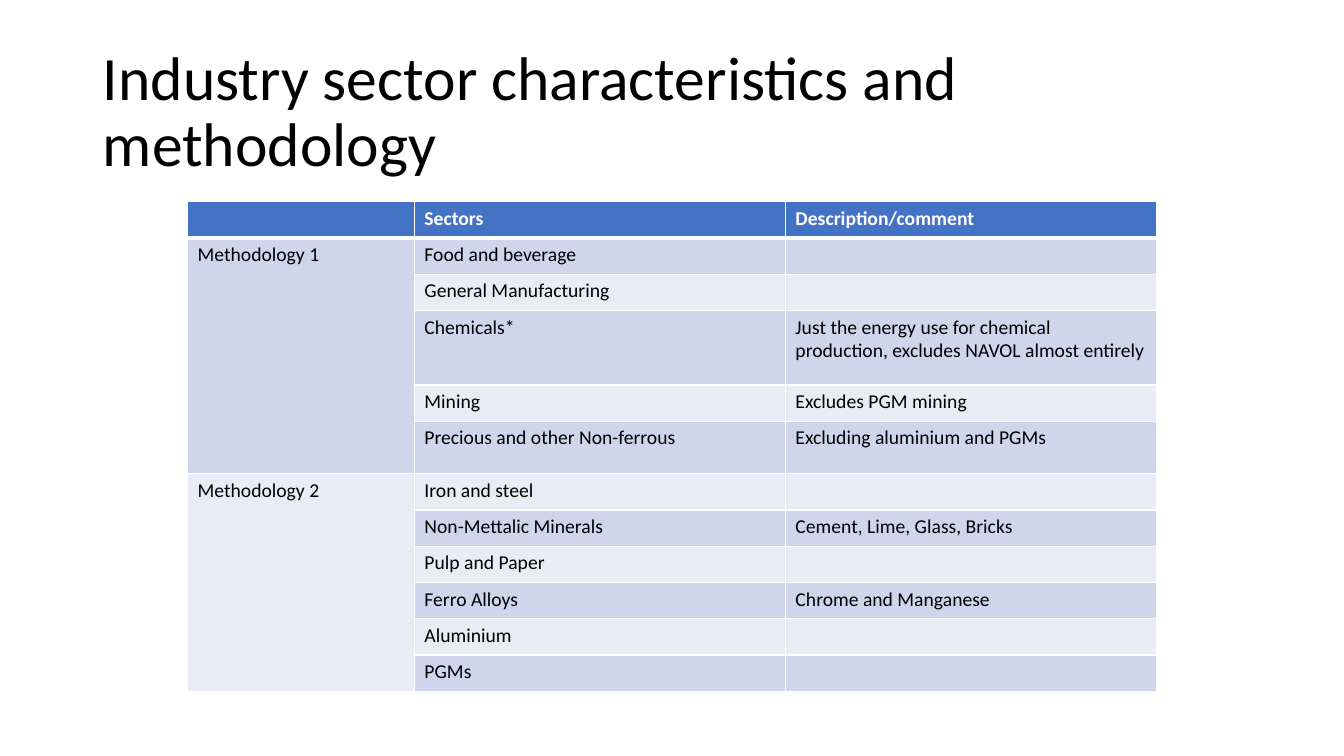
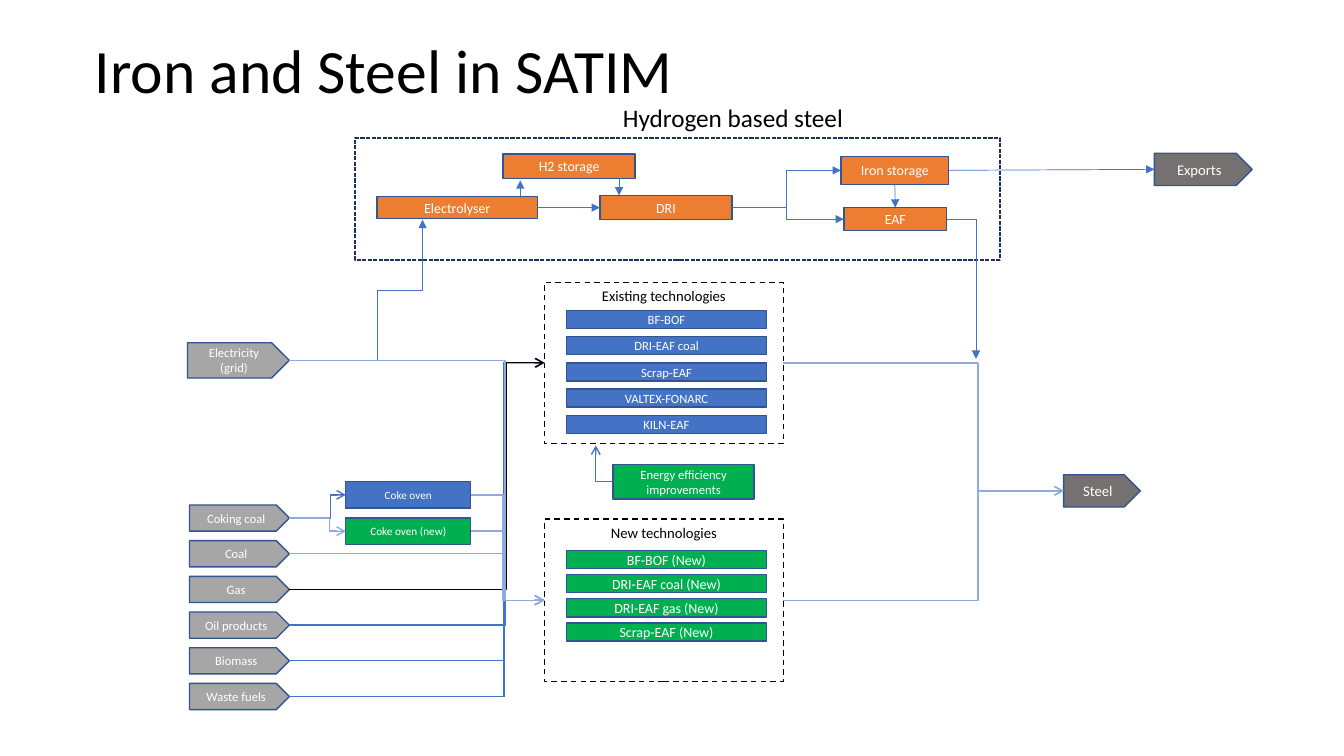
from pptx import Presentation
from pptx.dml.color import RGBColor
from pptx.enum.dml import MSO_LINE as Dash
from pptx.enum.shapes import MSO_CONNECTOR as Link, MSO_SHAPE as Preset
from pptx.enum.text import MSO_ANCHOR as Anchor, MSO_AUTO_SIZE as AutoSize, PP_ALIGN as Align
from pptx.oxml.ns import qn
from pptx.util import Inches, Pt
from lxml.etree import SubElement

BLACK = RGBColor(0x00, 0x00, 0x00)
WHITE = RGBColor(0xFF, 0xFF, 0xFF)
BLUE = RGBColor(0x44, 0x72, 0xC4)
SKY = RGBColor(0x8F, 0xAA, 0xDC)
EDGE = RGBColor(0x32, 0x54, 0x91)
NAVY = RGBColor(0x1E, 0x32, 0x56)
GREEN = RGBColor(0x00, 0xB0, 0x50)
ORANGE = RGBColor(0xED, 0x7D, 0x31)
SILVER = RGBColor(0xA6, 0xA6, 0xA6)
GREY = RGBColor(0x76, 0x71, 0x71)
BAND_DARK = RGBColor(0xCF, 0xD5, 0xEA)
BAND_LIGHT = RGBColor(0xE9, 0xEB, 0xF5)

FONT = "Calibri"
TOP, LEFT, BOTTOM, RIGHT = range(4)

SECTORS = {
    "Methodology 1": [
        ("Food and beverage", "", 0.36),
        ("General Manufacturing", "", 0.36),
        ("Chemicals*", "Just the energy use for chemical production, "
                       "excludes NAVOL almost entirely", 0.74),
        ("Mining", "Excludes PGM mining", 0.36),
        ("Precious and other Non-ferrous", "Excluding aluminium and PGMs", 0.52),
    ],
    "Methodology 2": [
        ("Iron and steel", "", 0.36),
        ("Non-Mettalic Minerals", "Cement, Lime, Glass, Bricks", 0.36),
        ("Pulp and Paper", "", 0.36),
        ("Ferro Alloys", "Chrome and Manganese", 0.36),
        ("Aluminium", "", 0.36),
        ("PGMs", "", 0.36),
    ],
}


def point(x, y):
    return Inches(x), Inches(y)


def port(box, side):
    across = {LEFT: 0, RIGHT: box.width}.get(side, box.width // 2)
    down = {TOP: 0, BOTTOM: box.height}.get(side, box.height // 2)
    return box.left + across, box.top + down


class DeckBuilder:
    def __init__(self):
        self.deck = Presentation()
        self.deck.slide_width, self.deck.slide_height = point(13.33, 7.5)
        self.page = None

    def add_page(self, title, left, top):
        self.page = self.deck.slides.add_slide(self.deck.slide_layouts[5])
        box = self.page.shapes.title
        box.left, box.top = point(left, top)
        box.width, box.height = point(11.5, 1.45)
        frame = box.text_frame
        frame.word_wrap = True
        frame.auto_size = AutoSize.NONE
        frame.vertical_anchor = Anchor.MIDDLE
        self.add_text(frame, title, 44, BLACK, Align.LEFT)
        frame.paragraphs[0].line_spacing = 0.9

    def add_text(self, frame, text, size, color, align=Align.LEFT, bold=False):
        para = frame.paragraphs[0]
        para.alignment = align
        if not text:
            para._p.get_or_add_endParaRPr().set("sz", str(size * 100))
            return
        span = para.add_run()
        span.text = text
        span.font.name = FONT
        span.font.size = Pt(size)
        span.font.bold = bold
        span.font.color.rgb = color

    def label(self, text, size, left, top, width, height):
        box = self.page.shapes.add_textbox(*point(left, top), *point(width, height))
        box.text_frame.word_wrap = True
        self.add_text(box.text_frame, text, size, BLACK)

    def block(self, text, size, fill, left, top, width, height, preset=Preset.RECTANGLE):
        box = self.page.shapes.add_shape(preset, *point(left, top), *point(width, height))
        box.shadow.inherit = False
        box.fill.solid()
        box.fill.fore_color.rgb = fill
        box.line.color.rgb = EDGE
        box.line.width = Pt(1)
        box.text_frame.vertical_anchor = Anchor.MIDDLE
        self.add_text(box.text_frame, text, size, WHITE, Align.CENTER)
        return box

    def tag(self, text, size, fill, *place):
        return self.block(text, size, fill, *place, preset=Preset.PENTAGON)

    def frame(self, text, color, dash, left, top, width, height):
        box = self.page.shapes.add_shape(
            Preset.RECTANGLE, *point(left, top), *point(width, height))
        box.shadow.inherit = False
        box.fill.background()
        box.line.color.rgb = color
        box.line.width = Pt(1)
        box.line.dash_style = dash
        if text:
            box.text_frame.vertical_anchor = Anchor.TOP
            self.add_text(box.text_frame, text, 10.5, BLACK, Align.CENTER)
        return box

    def connector(self, kind, begin, end, color, width, head):
        line = self.page.shapes.add_connector(kind, *begin, *end)
        line.line.color.rgb = color
        line.line.width = Pt(width)
        properties = line._element.spPr
        SubElement(properties.get_or_add_ln(), qn("a:tailEnd"), type=head)
        SubElement(properties, qn("a:effectLst"))
        return line

    def arrow(self, begin, end):
        return self.connector(Link.STRAIGHT, begin, end, BLUE, 0.5, "triangle")

    def join(self, source, source_side, target, target_side):
        line = self.arrow(port(source, source_side), port(target, target_side))
        line.begin_connect(source, source_side)
        line.end_connect(target, target_side)

    def elbow(self, begin, end, rail, color=BLUE, width=0.5, head="triangle"):
        line = self.connector(Link.ELBOW, begin, end, color, width, head)
        share = (Inches(rail) - begin[0]) / (end[0] - begin[0])
        guides = line._element.spPr.find(qn("a:prstGeom")).find(qn("a:avLst"))
        SubElement(guides, qn("a:gd"), name="adj1", fmla=f"val {round(share * 100000)}")

    def corner(self, begin, end, width=0.5, head="triangle"):
        line = self.connector(Link.ELBOW, begin, end, BLUE, width, head)
        line._element.spPr.find(qn("a:prstGeom")).set("prst", "bentConnector2")

    def riser(self, begin, end):
        middle_x = (begin[0] + end[0]) // 2
        middle_y = (begin[1] + end[1]) // 2
        turned = [(middle_x + y - middle_y, middle_y - x + middle_x) for x, y in (begin, end)]
        line = self.connector(Link.ELBOW, *turned, BLUE, 0.5, "triangle")
        line._element.spPr.find(qn("a:xfrm")).set("rot", "5400000")

    def cell(self, cell, text, fill, header=False):
        properties = cell._tc.get_or_add_tcPr()
        for side in ("lnL", "lnR", "lnT", "lnB"):
            weight = 3 if header and side == "lnB" else 1
            border = SubElement(properties, qn(f"a:{side}"), w=str(Pt(weight)))
            paint = SubElement(border, qn("a:solidFill"))
            SubElement(paint, qn("a:srgbClr"), val=str(WHITE))
        cell.fill.solid()
        cell.fill.fore_color.rgb = fill
        self.add_text(cell.text_frame, text, 14, WHITE if header else BLACK, bold=header)

    def sector_table(self, headings, groups, left, top, widths):
        rows = [(name if index == 0 else "", *entry)
                for name, entries in groups.items() for index, entry in enumerate(entries)]
        heights = [0.36] + [row[-1] for row in rows]
        table = self.page.shapes.add_table(
            len(heights), len(widths), *point(left, top),
            *point(sum(widths), sum(heights))).table
        table.horz_banding = False
        for column, width in zip(table.columns, widths):
            column.width = Inches(width)
        for row, height in zip(table.rows, heights):
            row.height = Inches(height)
        for column, heading in enumerate(headings):
            self.cell(table.cell(0, column), heading, BLUE, header=True)
        for number, row in enumerate(rows, 1):
            fill = BAND_DARK if number % 2 else BAND_LIGHT
            for column, text in enumerate(row[:-1]):
                self.cell(table.cell(number, column), text, fill)
        first = 1
        for entries in groups.values():
            last = first + len(entries) - 1
            table.cell(first, 0).merge(table.cell(last, 0))
            first = last + 1


def build_sectors(builder):
    builder.add_page("Industry sector characteristics and methodology", 0.92, 0.4)
    builder.sector_table(("", "Sectors", "Description/comment"), SECTORS,
                         1.86, 2, (2.25, 3.68, 3.68))


def build_hydrogen(builder, electricity, exports):
    builder.frame("", NAVY, Dash.SQUARE_DOT, 3.52, 1.37, 6.4, 1.21)
    builder.label("Hydrogen based steel", 18, 6.08, 0.97, 2.8, 0.4)
    reduction, electrolyser, furnace, iron, _ = [
        builder.block(text, 10, ORANGE, *place) for text, *place in (
            ("DRI", 5.95, 1.94, 1.31, 0.24),
            ("Electrolyser", 3.74, 1.95, 1.59, 0.22),
            ("EAF", 8.37, 2.06, 1.02, 0.23),
            ("Iron storage", 8.34, 1.55, 1.07, 0.28),
            ("H2 storage", 4.99, 1.53, 1.31, 0.24))]
    builder.join(electrolyser, RIGHT, reduction, LEFT)
    builder.join(iron, BOTTOM, furnace, TOP)
    builder.join(iron, RIGHT, exports, LEFT)
    builder.arrow(point(5.16, 1.96), point(5.16, 1.79))
    builder.arrow(point(6.14, 1.77), point(6.14, 1.94))
    for target in (iron, furnace):
        builder.elbow(port(reduction, RIGHT), port(target, LEFT), 7.8)
    builder.riser((Inches(3.74), port(electricity, RIGHT)[1]), point(4.19, 2.18))
    builder.corner(port(furnace, RIGHT), point(9.68, 3.56))


def build_steel(builder):
    builder.add_page("Iron and Steel in SATIM", 0.84, 0)
    plants = (
        (("BF-BOF", "DRI-EAF coal", "Scrap-EAF", "VALTEX-FONARC", "KILN-EAF"),
         9, BLUE, 3.08, 0.26),
        (("BF-BOF (New)", "DRI-EAF coal (New)", "DRI-EAF gas (New)", "Scrap-EAF (New)"),
         10, GREEN, 5.46, 0.24))
    for names, size, fill, top, pitch in plants:
        for index, name in enumerate(names):
            builder.block(name, size, fill, 5.62, top + index * pitch, 1.98, 0.18)
    existing = builder.frame("Existing technologies", BLACK, Dash.DASH, 5.4, 2.8, 2.37, 1.6)
    new = builder.frame("New technologies", BLACK, Dash.DASH, 5.4, 5.15, 2.37, 1.61)

    fuels = ("Coking coal", "Coal", "Gas", "Oil products", "Biomass", "Waste fuels")
    fuel_pitch = (6.78 - 5.01) / (len(fuels) - 1)
    coking, coal, gas, oil, biomass, waste = [
        builder.tag(fuel, 9, SILVER, 1.88, 5.01 + index * fuel_pitch, 0.99, 0.26)
        for index, fuel in enumerate(fuels)]
    electricity = builder.tag("Electricity (grid)", 9, SILVER, 1.86, 3.4, 1.01, 0.35)
    oven = builder.block("Coke oven", 8, BLUE, 3.43, 4.78, 1.24, 0.26)
    new_oven = builder.block("Coke oven (new)", 8, GREEN, 3.43, 5.14, 1.24, 0.26)
    steel = builder.tag("Steel", 10.5, GREY, 10.55, 4.71, 0.76, 0.32)
    exports = builder.tag("Exports", 10.5, GREY, 11.45, 1.52, 0.97, 0.32)
    efficiency = builder.block("Energy efficiency improvements", 9, GREEN,
                               6.08, 4.61, 1.4, 0.34)

    builder.corner(port(efficiency, LEFT), point(5.91, 4.42), 1, "arrow")
    flows = (
        (existing, steel, 9.7, SKY, 1),
        (new, steel, 9.7, SKY, 1),
        (waste, new, 5, BLUE, 0.5),
        (waste, existing, 5, BLUE, 1),
        (biomass, new, 5, BLUE, 0.5),
        (oil, new, 5.01, BLUE, 0.5),
        (gas, new, 5, BLUE, 0.5),
        (biomass, existing, 5, BLUE, 1),
        (oil, existing, 5, BLUE, 1),
        (coal, new, 5.01, BLUE, 0.5),
        (coal, existing, 5.01, SKY, 1),
        (gas, existing, 5.02, BLACK, 1),
        (electricity, new, 5.01, SKY, 1),
        (oven, new, 4.99, SKY, 1),
        (coking, oven, 3.28, BLUE, 1),
        (coking, new_oven, 3.27, SKY, 1),
        (new_oven, new, 5, SKY, 1))
    for source, target, rail, color, width in flows:
        builder.elbow(port(source, RIGHT), port(target, LEFT), rail, color, width, "arrow")
    build_hydrogen(builder, electricity, exports)


def main():
    builder = DeckBuilder()
    build_sectors(builder)
    build_steel(builder)
    builder.deck.save("out.pptx")


if __name__ == "__main__":
    main()
